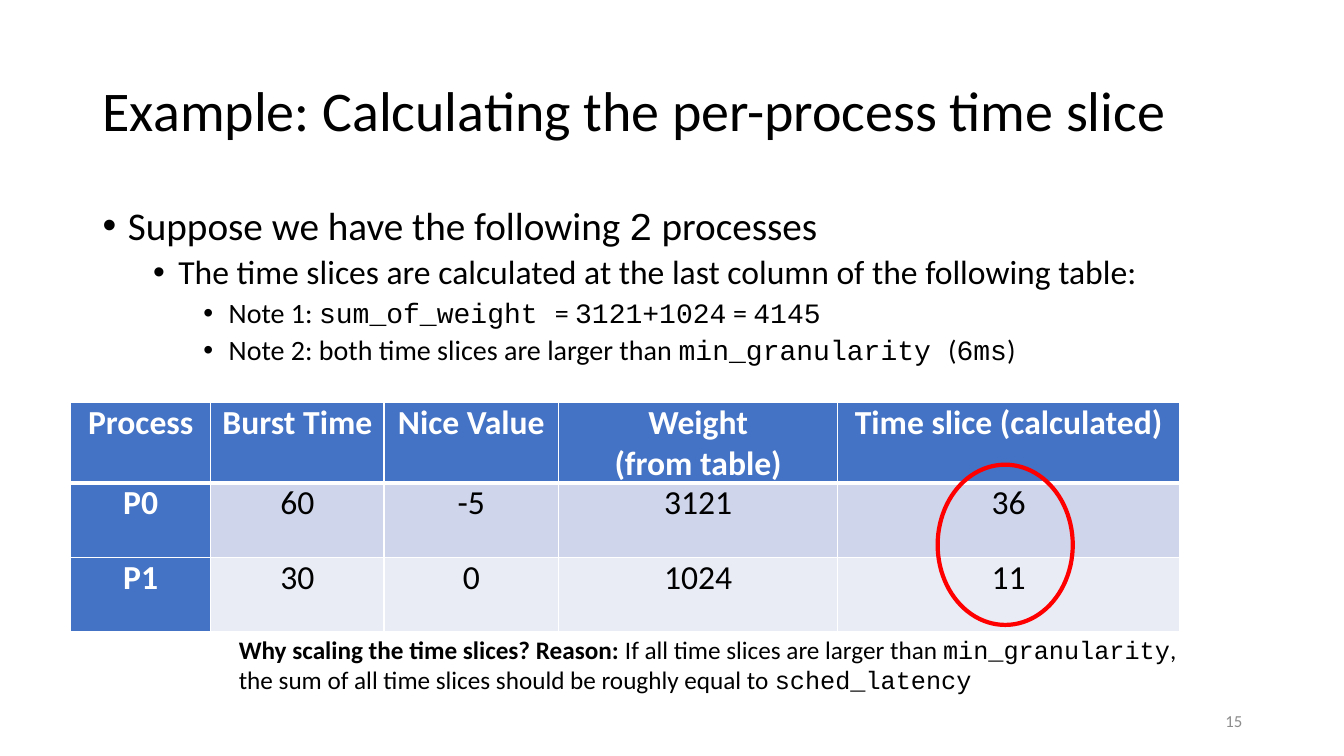
from lxml import etree
from pptx import Presentation
from pptx import util as u
from pptx.dml.color import RGBColor
from pptx.enum import shapes, text
from pptx.oxml.ns import qn

PX = 9144  # EMU per px, 100 px to the inch
COLORS = {
    "ink": "000000", "white": "FFFFFF", "header": "4472C4",
    "band_dark": "CFD5EA", "band_light": "E9EBF5",
    "highlight": "FF0000", "muted": "8C8C8C",
}


def color(name):
    return RGBColor.from_string(COLORS[name])


class SlideBuilder:
    """Holds the style and the current slide; places elements in px."""

    body_font, code_font = "Calibri", "Courier New"

    def __init__(self, deck):
        self.slide = deck.slides.add_slide(deck.slide_layouts[6])

    def box(self, left, top, width, height, anchor=text.MSO_ANCHOR.TOP):
        frame = self.slide.shapes.add_textbox(
            left * PX, top * PX, width * PX, height * PX).text_frame
        frame.word_wrap = True
        frame.vertical_anchor = anchor
        return frame

    def style(self, paragraph, size, ink="ink", bold=None, align=None):
        paragraph.alignment = align
        font = paragraph.font
        font.size, font.name, font.bold = u.Pt(size), self.body_font, bold
        font.color.rgb = color(ink)

    def add_wording(self, paragraph, marked):
        """Add runs; parts between backticks are code."""
        for i, part in enumerate(marked.split("`")):
            if part:
                run = paragraph.add_run()
                run.text = part
                if i % 2:
                    run.font.name = self.code_font

    def label(self, place, wording, size, lead="", spacing=None,
              anchor=text.MSO_ANCHOR.TOP, **look):
        paragraph = self.box(*place, anchor).paragraphs[0]
        paragraph.line_spacing = spacing
        self.style(paragraph, size, **look)
        if lead:
            run = paragraph.add_run()
            run.text, run.font.bold = lead, True
        self.add_wording(paragraph, wording)

    def bullets(self, place, items):
        frame = self.box(*place)
        for i, (level, wording) in enumerate(items):
            paragraph = frame.paragraphs[0] if i == 0 else frame.add_paragraph()
            paragraph.level = level
            paragraph.line_spacing = 0.9
            if i:
                paragraph.space_before = u.Pt(5)
            props = paragraph._p.get_or_add_pPr()
            props.set("marL", str((25 + 50 * level) * PX))
            props.set("indent", str(-25 * PX))
            etree.SubElement(props, qn("a:buFont"), typeface="Arial")
            etree.SubElement(props, qn("a:buChar"), char="•")
            self.style(paragraph, 28 - 4 * level)
            self.add_wording(paragraph, wording)

    def borders(self, cell, **points):
        props = cell._tc.get_or_add_tcPr()
        for i, side in enumerate("LRTB"):
            line = etree.Element(qn("a:ln" + side), w=str(u.Pt(points.get(side, 1))))
            fill = etree.SubElement(line, qn("a:solidFill"))
            etree.SubElement(fill, qn("a:srgbClr"), val=COLORS["white"])
            props.insert(i, line)

    def table(self, left, top, widths, row_height, rows):
        grid = self.slide.shapes.add_table(
            len(rows), len(widths), left * PX, top * PX,
            sum(widths) * PX, row_height * len(rows) * PX).table
        grid.first_col = True
        for column, width in zip(grid.columns, widths):
            column.width = width * PX
        for r, values in enumerate(rows):
            grid.rows[r].height = row_height * PX
            for c, value in enumerate(values):
                cell = grid.cell(r, c)
                heading = r == 0 or c == 0
                cell.margin_left = cell.margin_right = 7 * PX
                cell.margin_top = cell.margin_bottom = 0
                cell.fill.solid()
                cell.fill.fore_color.rgb = color(
                    "header" if heading else "band_dark" if r % 2 else "band_light")
                self.borders(cell, T=3 if r == 1 else 1, B=3 if r == 0 else 1)
                cell.text_frame.text = value
                for paragraph in cell.text_frame.paragraphs:
                    self.style(paragraph, 24, "white" if heading else "ink",
                               heading, text.PP_ALIGN.CENTER)

    def ring(self, left, top, width, height):
        ellipse = self.slide.shapes.add_shape(
            shapes.MSO_SHAPE.OVAL, left * PX, top * PX, width * PX, height * PX)
        ellipse.shadow.inherit = False
        ellipse.fill.background()
        ellipse.line.color.rgb = color("highlight")
        ellipse.line.width = u.Pt(3)


def main():
    deck = Presentation()
    deck.slide_width, deck.slide_height = 1333 * PX, 750 * PX
    page = SlideBuilder(deck)

    # Title
    page.label((92, 40, 1150, 145), "Example: Calculating the per-process time slice",
               40, spacing=0.9, anchor=text.MSO_ANCHOR.MIDDLE)

    # Setting and notes
    page.bullets((92, 200, 1150, 476), [
        (0, "Suppose we have the following `2` processes"),
        (1, "The time slices are calculated at the last column of the following table:"),
        (2, "Note 1: `sum_of_weight `= `3121+1024` = `4145`"),
        (2, "Note 2: both time slices are larger than `min_granularity `(`6ms`)"),
    ])

    # Slide number
    page.label((942, 695, 300, 40), "15", 12, anchor=text.MSO_ANCHOR.MIDDLE,
               ink="muted", align=text.PP_ALIGN.RIGHT)

    # Processes, with the calculated slices ringed
    page.table(70, 399, [139, 172, 173, 277, 339], 74, [
        ["Process", "Burst Time", "Nice Value", "Weight\n(from table)",
         "Time slice (calculated)"],
        ["P0", "60", "-5", "3121", "36"],
        ["P1", "30", "0", "1024", "11"],
    ])
    page.ring(930, 461, 134, 159)

    # Reason for scaling
    page.label((227, 624, 979, 71),
               "If all time slices are larger than `min_granularity`, "
               "the sum of all time slices should be roughly equal to `sched_latency`",
               18, lead="Why scaling the time slices? Reason: ")

    deck.save("out.pptx")


if __name__ == "__main__":
    main()
